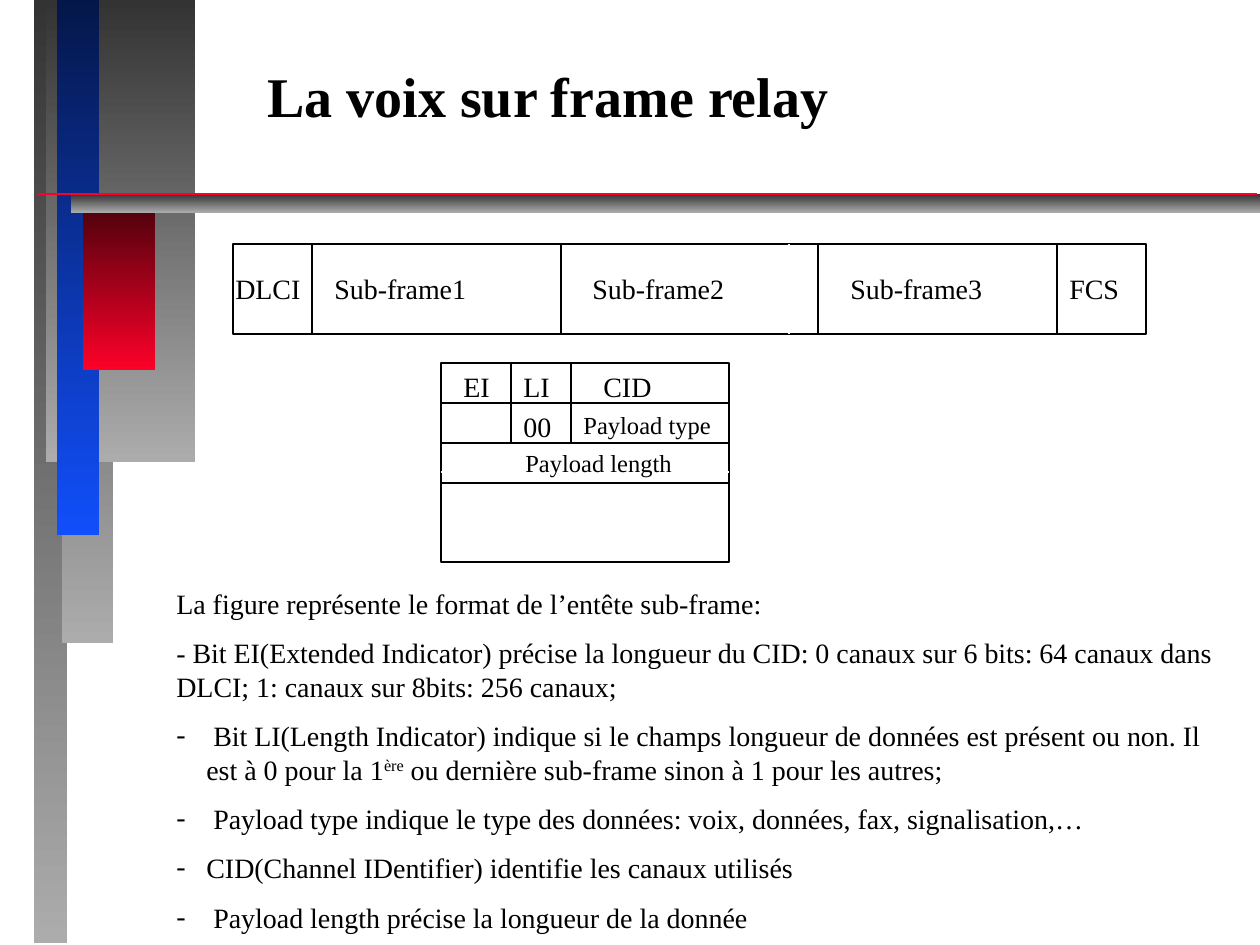
from lxml import etree
from pptx import Presentation
from pptx.dml.color import RGBColor
from pptx.enum.shapes import MSO_CONNECTOR as Connector, MSO_SHAPE as Shape
from pptx.enum.text import MSO_ANCHOR as Anchor
from pptx.oxml.ns import qn
from pptx.util import Emu, Pt

PX = 914400 / 126
FONT = "Times New Roman"
COLORS = {"black": "000000", "white": "FFFFFF", "red": "FC0128"}
GRADIENTS = {
    "gray": ("333333", "ACACAC"),
    "blue": ("05174A", "114FFB"),
    "red": ("4A010C", "FC0128"),
}

# left, top, width, height in px
BARS = [
    ("gray", 34, 0, 33, 943),
    ("gray", 62, 0, 51, 643),
    ("gray", 46, 0, 149, 462),
    ("blue", 57, 0, 42, 535),
    ("red", 83, 202, 72, 168),
    ("gray", 71, 194, 1189, 19),
]
TITLE = "La voix sur frame relay"

FRAME = (233, 244, 913, 90)
FRAME_DIVIDERS = [("black", 312), ("black", 561), ("white", 789),
                  ("black", 818), ("black", 1057)]
FRAME_LABELS = [("DLCI", 223, 91), ("Sub-frame1", 322, 189), ("Sub-frame2", 580, 189),
                ("Sub-frame3", 838, 189), ("FCS", 1057, 89)]

HEADER = (441, 363, 288, 199)
HEADER_ROWS = [("black", 403), ("black", 443), ("white", 472), ("black", 483)]
HEADER_COLUMNS = [511, 571]
HEADER_LABELS = [  # text, left, top, width, size
    ("EI", 451, 363, 52, 16),
    ("LI", 511, 363, 59, 16),
    ("CID", 591, 363, 100, 16),
    ("00", 511, 403, 69, 16),
    ("Payload type", 571, 404, 198, 14),
    ("Payload length", 513, 442, 190, 14),
]

BODY = [  # bulleted, runs as (text, superscript)
    (False, [("La figure représente le format de l’entête sub-frame:", False)]),
    (False, [("- Bit EI(Extended Indicator) précise la longueur du CID: 0 canaux sur 6 bits: "
              "64 canaux dans DLCI; 1: canaux sur 8bits: 256 canaux;", False)]),
    (True, [(" Bit LI(Length Indicator) indique si le champs longueur de données est présent "
             "ou non. Il est à 0 pour la 1", False),
            ("ère", True),
            (" ou dernière sub-frame sinon à 1 pour les autres;", False)]),
    (True, [(" Payload type indique le type des données: voix, données, fax, "
             "signalisation,…", False)]),
    (True, [("CID(Channel IDentifier) identifie les canaux utilisés", False)]),
    (True, [(" Payload length précise la longueur de la donnée", False)]),
]


def px(value):
    return Emu(round(value * PX))


def color(name):
    return RGBColor.from_string(COLORS[name])


def add_bar(page, gradient, *place):
    bar = page.shapes.add_shape(Shape.RECTANGLE, *map(px, place))
    bar.shadow.inherit = False
    bar.line.fill.background()
    bar.fill.gradient()
    bar.fill.gradient_angle = 270
    for stop, tint in zip(bar.fill.gradient_stops, GRADIENTS[gradient]):
        stop.color.rgb = RGBColor.from_string(tint)


def add_outline(page, place):
    box = page.shapes.add_shape(Shape.RECTANGLE, *map(px, place))
    box.shadow.inherit = False
    box.fill.solid()
    box.fill.fore_color.rgb = color("white")
    box.line.color.rgb = color("black")
    box.line.width = Pt(1)


def add_line(page, name, *ends):
    line = page.shapes.add_connector(Connector.STRAIGHT, *map(px, ends))
    line.line.color.rgb = color(name)
    line.line.width = Pt(1)
    etree.SubElement(line._element.spPr, qn("a:effectLst"))


def add_frame(page, *place):
    box = page.shapes.add_textbox(*map(px, place))
    box.text_frame.word_wrap = True
    return box.text_frame


def add_span(para, text, size, bold=False):
    span = para.add_run()
    span.text = text
    span.font.name = FONT
    span.font.size = Pt(size)
    span.font.bold = bold
    span.font.color.rgb = color("black")
    return span


def add_label(page, text, left, top, width, size):
    frame = add_frame(page, left, top, width, 46)
    add_span(frame.paragraphs[0], text, size)


def add_dash(para):
    properties = para._p.get_or_add_pPr()
    properties.set("marL", str(px(30)))
    properties.set("indent", str(-px(30)))
    etree.SubElement(properties, qn("a:buFont"), typeface=FONT)
    etree.SubElement(properties, qn("a:buChar"), char="-")


def add_body(page):
    frame = add_frame(page, 164, 580, 1072, 363)
    for index, (bulleted, spans) in enumerate(BODY):
        para = frame.add_paragraph() if index else frame.paragraphs[0]
        if index:
            para.space_before = Pt(9)
        if bulleted:
            add_dash(para)
        for text, superscript in spans:
            span = add_span(para, text, 16)
            if superscript:
                span.font._element.set("baseline", "30000")


def main():
    deck = Presentation()
    deck.slide_width, deck.slide_height = px(1260), px(945)
    page = deck.slides.add_slide(deck.slide_layouts[6])

    for bar in BARS:
        add_bar(page, *bar)
    add_line(page, "red", 37, 194, 1257, 194)

    title = add_frame(page, 255, 59, 937, 76)
    title.vertical_anchor = Anchor.BOTTOM
    add_span(title.paragraphs[0], TITLE, 32, bold=True)

    add_outline(page, FRAME)
    left, top, width, height = FRAME
    for name, x in FRAME_DIVIDERS:
        add_line(page, name, x, top, x, top + height)
    for text, x, label_width in FRAME_LABELS:
        add_label(page, text, x, 265, label_width, 16)

    add_outline(page, HEADER)
    left, top, width, height = HEADER
    for name, y in HEADER_ROWS:
        add_line(page, name, left, y, left + width, y)
    for x in HEADER_COLUMNS:
        add_line(page, "black", x, top, x, HEADER_ROWS[1][1])
    for label in HEADER_LABELS:
        add_label(page, *label)

    add_body(page)
    deck.save("out.pptx")


if __name__ == "__main__":
    main()
